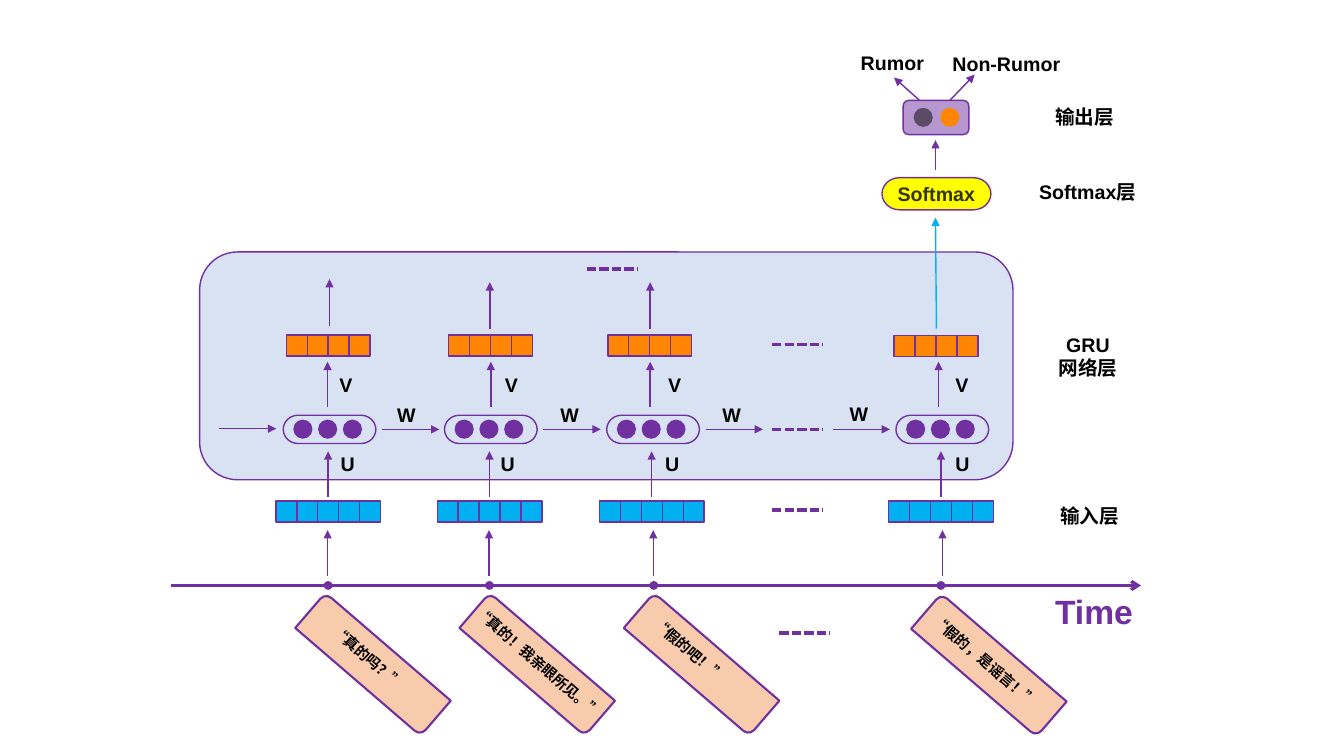
"""Build a slide showing a recurrent rumor detection network over time."""
from dataclasses import dataclass
from typing import NamedTuple, Optional

from lxml.etree import SubElement
from pptx import Presentation
from pptx.dml.color import RGBColor
from pptx.enum.dml import MSO_LINE
from pptx.enum.shapes import MSO_CONNECTOR, MSO_SHAPE
from pptx.enum.text import MSO_ANCHOR, MSO_AUTO_SIZE, PP_ALIGN
from pptx.oxml.ns import qn
from pptx.util import Pt


@dataclass(frozen=True)
class Theme:
    purple: str = "7030A0"
    panel: str = "4472C4"
    sky: str = "00B0F0"
    orange: str = "FF8604"
    yellow: str = "FFFF00"
    peach: str = "F8CBAD"
    black: str = "000000"
    font: str = "Arial"
    cjk: str = "Noto Sans CJK SC"
    label: float = 14
    quote: float = 10.5
    axis: float = 24
    thin: float = 1
    medium: float = 1.5
    thick: float = 2.25


class Step(NamedTuple):
    unit: float
    dot: float
    word_arrow: float
    u: float
    v_arrow: float
    v: float
    output: float
    output_top: float
    card: float
    card_top: float
    quote: str
    quote_box: tuple[float, float, float]


class Arrow(NamedTuple):
    x1: float
    y1: float
    x2: float
    y2: float
    color: str = Theme.purple


class Label(NamedTuple):
    text: str
    x: float
    y: float
    w: float
    h: float = 24.5
    align: PP_ALIGN = PP_ALIGN.LEFT


T = Theme()
STEPS = [
    Step(202.3, 234.4, 234, 236.2, 234, 235.4, 204.5, 239.2, 207.4, 458,
         "“真的吗？”", (221.8, 466.6, 98.6)),
    Step(317.5, 349.6, 349.3, 350.6, 350.6, 353.5, 320.4, 239.2, 324.7, 458,
         "“真的！我亲眼所见。”", (315.4, 475.9, 167.8)),
    Step(433.4, 467, 466.6, 468, 464.4, 470.2, 434.2, 239.2, 442.1, 458,
         "“假的吧！”", (442.8, 483.8, 167.8)),
    Step(640, 672.1, 673.2, 675.4, 670.4, 675.4, 638.7, 239.8, 647.3, 458.6,
         "“假的，是谣言！”", (642.2, 481.7, 167.8)),
]
W_LABELS = [(276.5, 284.6), (393.1, 284.6), (509, 284.6), (599.8, 283.7)]
W_ARROWS = [272.9, 388.1, 504, 594.7]
ARROWS = [
    Arrow(156.2, 306.2, 197.3, 306.2),
    Arrow(235.4, 232.6, 235.4, 199.4),
    Arrow(349.9, 234.7, 349.9, 201.6),
    Arrow(464.4, 234.7, 464.4, 201.6),
    Arrow(668.9, 234.7, 668.2, 155.5, T.sky),
    Arrow(668.2, 121.7, 668.2, 100.1),
    Arrow(656.6, 71.5, 638.6, 55.4),
    Arrow(678.2, 72, 696.2, 53.3),
]
ELLIPSES = [(551.5, 306.7), (551.5, 364.3), (556.6, 452.2), (551.5, 246.2), (419, 192.2)]
LABELS = [
    Label("Rumor", 607.7, 33.1, 73.4),
    Label("Non-Rumor", 673.2, 33.8, 93.6),
    Label("输入层", 750.2, 356.4, 73.4),
    Label("GRU\n网络层", 746.6, 234, 61.2, 41, PP_ALIGN.CENTER),
    Label("Softmax层", 725.8, 125.3, 102.2, align=PP_ALIGN.CENTER),
    Label("输出层", 723.6, 71.3, 102.2, align=PP_ALIGN.CENTER),
]


def set_alpha(fill_parent, alpha: int) -> None:
    """Make the solid colour in an element partly transparent."""
    color = fill_parent.find(qn("a:solidFill"))[0]
    SubElement(color, qn("a:alpha")).set("val", str(alpha * 1000))


def add_box(s, kind: MSO_SHAPE, x: float, y: float, w: float, h: float, *,
            fill: Optional[str] = None, line: Optional[str] = None,
            width: float = T.thin, alpha: int = 100, rotation: float = 0):
    """Add a preset shape with the given fill and outline."""
    sp = s.shapes.add_shape(kind, Pt(x), Pt(y), Pt(w), Pt(h))
    sp.shadow.inherit = False
    sp.rotation = rotation
    if fill:
        sp.fill.solid()
        sp.fill.fore_color.rgb = RGBColor.from_string(fill)
        if alpha < 100:
            set_alpha(sp.fill._xPr, alpha)
    else:
        sp.fill.background()
    if line:
        sp.line.color.rgb = RGBColor.from_string(line)
        sp.line.width = Pt(width)
    else:
        sp.line.fill.background()
    return sp


def add_line(s, a: Arrow, *, width: float = T.thin, head: Optional[str] = "triangle",
             dotted: bool = False) -> None:
    """Add a straight line, with an arrowhead at its end if asked."""
    c = s.shapes.add_connector(MSO_CONNECTOR.STRAIGHT, Pt(a.x1), Pt(a.y1), Pt(a.x2), Pt(a.y2))
    c.line.color.rgb = RGBColor.from_string(a.color)
    c.line.width = Pt(width)
    if dotted:
        c.line.dash_style = MSO_LINE.SQUARE_DOT
    if head:
        SubElement(c.line._get_or_add_ln(), qn("a:tailEnd")).set("type", head)
    SubElement(c._element.spPr, qn("a:effectLst"))


def write(tf, text: str, *, size: float = T.label, color: str = T.black, font: str = T.font,
          align: PP_ALIGN = PP_ALIGN.LEFT, alpha: int = 100) -> None:
    """Write bold text, one paragraph for each line."""
    tf.word_wrap = True
    for i, line in enumerate(text.split("\n")):
        p = tf.add_paragraph() if i else tf.paragraphs[0]
        p.alignment = align
        r = p.add_run()
        r.text = line
        r.font.size, r.font.bold, r.font.name = Pt(size), True, font
        r.font.color.rgb = RGBColor.from_string(color)
        rpr = r.font._element
        SubElement(rpr, qn("a:ea")).set("typeface", T.cjk)
        if alpha < 100:
            set_alpha(rpr, alpha)


def add_label(s, label: Label, *, rotation: float = 0, **style) -> None:
    """Add a text box that holds a label."""
    sp = s.shapes.add_textbox(Pt(label.x), Pt(label.y), Pt(label.w), Pt(label.h))
    sp.rotation = rotation
    sp.text_frame.auto_size = MSO_AUTO_SIZE.SHAPE_TO_FIT_TEXT
    write(sp.text_frame, label.text, align=label.align, **style)


def add_cells(s, x: float, y: float, count: int, fill: str) -> None:
    """Add a vector as a row of touching squares."""
    for i in range(count):
        add_box(s, MSO_SHAPE.RECTANGLE, x + 14.95 * i, y, 15, 15, fill=fill, line=T.purple)


def add_step(s, st: Step) -> None:
    """Add one time step from its quote up to its output vector."""
    add_box(s, MSO_SHAPE.FLOWCHART_TERMINATOR, st.unit, 296.6, 66.2, 20.2, line=T.purple)
    for i in range(3):
        add_box(s, MSO_SHAPE.OVAL, st.unit + 7.2 + 17.7 * i, 299.7, 13.7, 13.7, fill=T.purple)
    add_cells(s, st.unit - 5.2, 358, 5, T.sky)
    add_cells(s, st.output, st.output_top, 4, T.orange)
    for x, y in ((st.word_arrow, 411.3), (st.unit + 32.1, 355), (st.v_arrow, 291)):
        add_line(s, Arrow(x, y, x, y - 32.6))
    add_box(s, MSO_SHAPE.OVAL, st.dot - 2.6, 415.6, 5.2, 5.2, fill=T.purple, line=T.purple)
    add_box(s, MSO_SHAPE.ROUND_2_DIAG_RECTANGLE, st.card, st.card_top, 118.1, 33.1,
            fill=T.peach, line=T.purple, width=T.medium, rotation=40.7)
    add_label(s, Label("U", st.u, 319.5, 23))
    add_label(s, Label("V", st.v, 262.8, 23))
    add_label(s, Label(st.quote, *st.quote_box, 20.9), rotation=40.8, size=T.quote, font=T.cjk)


def main() -> None:
    """Build and save the slide."""
    prs = Presentation()
    prs.slide_width, prs.slide_height = Pt(960), Pt(540)
    s = prs.slides.add_slide(prs.slide_layouts[6])
    add_box(s, MSO_SHAPE.ROUNDED_RECTANGLE, 142.6, 180, 581, 162.7,
            fill=T.panel, line=T.purple, alpha=20)
    add_line(s, Arrow(122.4, 418.2, 815, 418.2), width=T.thick, head="arrow")
    for st in STEPS:
        add_step(s, st)
    for x in W_ARROWS:
        add_line(s, Arrow(x, 306.7, x + 41, 306.7))
    for x, y in ELLIPSES:
        add_line(s, Arrow(x, y, x + 36, y), width=T.thick, head=None, dotted=True)
    for a in ARROWS:
        add_line(s, a)
    for x, y in W_LABELS:
        add_label(s, Label("W", x, y, 23))
    sp = add_box(s, MSO_SHAPE.FLOWCHART_TERMINATOR, 630, 126.9, 77.8, 23, fill=T.yellow, line=T.purple)
    sp.text_frame.vertical_anchor = MSO_ANCHOR.MIDDLE
    write(sp.text_frame, "Softmax", align=PP_ALIGN.CENTER, alpha=80)
    add_box(s, MSO_SHAPE.ROUNDED_RECTANGLE, 645.1, 71.7, 47, 24.5, fill=T.purple, line=T.purple, alpha=50)
    add_box(s, MSO_SHAPE.OVAL, 671.6, 77, 13.7, 13.7, fill=T.orange)
    add_box(s, MSO_SHAPE.OVAL, 652.6, 77, 13.7, 13.7, fill=T.black, alpha=50)
    for label in LABELS:
        add_label(s, label)
    add_label(s, Label("Time", 746.6, 418.3, 93.6, 36), size=T.axis, color=T.purple)
    prs.save("out.pptx")


if __name__ == "__main__":
    main()
